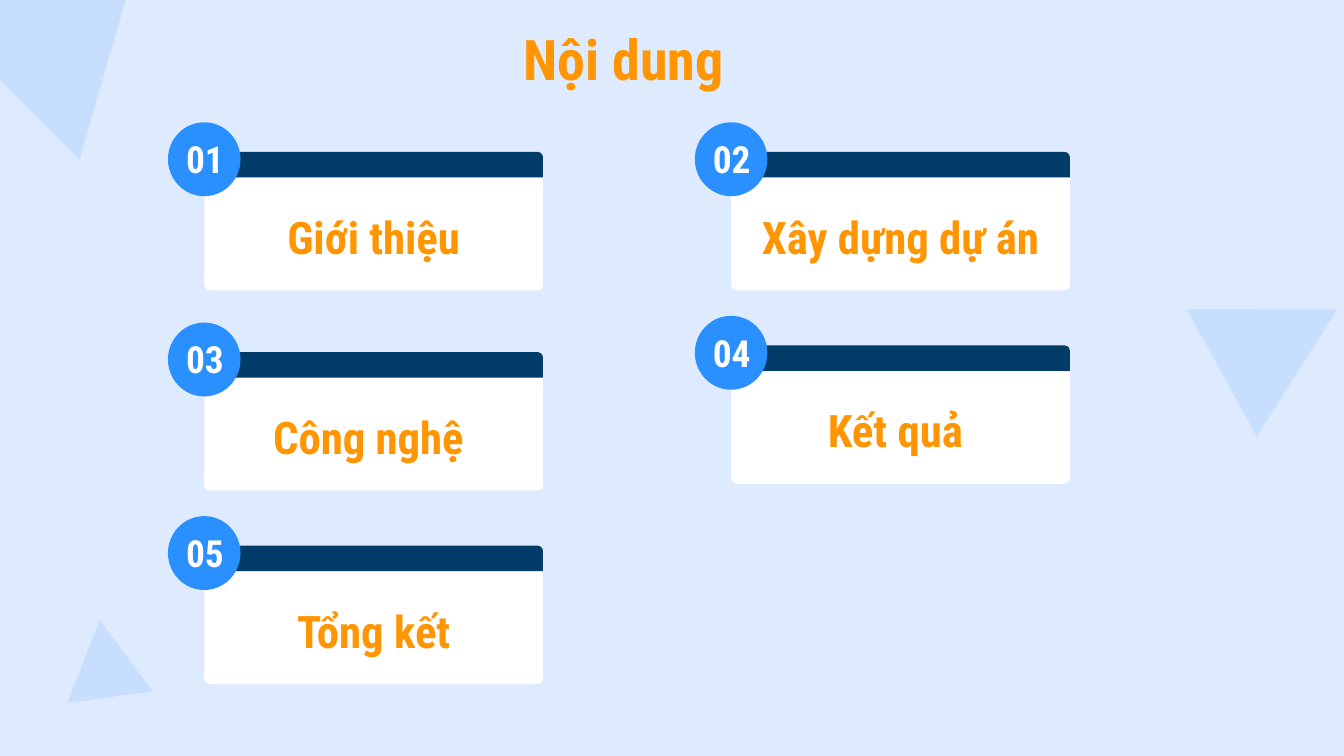
from pptx import Presentation
from pptx.dml.color import RGBColor
from pptx.enum.shapes import MSO_SHAPE
from pptx.enum.text import MSO_ANCHOR, PP_ALIGN
from pptx.util import Inches, Pt

TRIANGLE = MSO_SHAPE.ISOSCELES_TRIANGLE
ROUNDED = MSO_SHAPE.ROUND_2_SAME_RECTANGLE
OVAL = MSO_SHAPE.OVAL
TOP, MIDDLE = MSO_ANCHOR.TOP, MSO_ANCHOR.MIDDLE

FONT = "Roboto Condensed"
ORANGE, WHITE, NAVY, BLUE = "FF9500", "FFFFFF", "003C67", "2A90FF"
SKY, PALE = "DEEBFF", "C8DEFF"

deck = Presentation()
deck.slide_width = Inches(10)
deck.slide_height = deck.slide_width * 9 // 16
page = deck.slides.add_slide(deck.slide_layouts[6])
page.background.fill.solid()
page.background.fill.fore_color.rgb = RGBColor.from_string(SKY)


def add_filled(kind, left, top, width, height, color):
    shape = page.shapes.add_shape(
        kind, Inches(left), Inches(top), Inches(width), Inches(height))
    shape.shadow.inherit = False
    shape.fill.solid()
    shape.fill.fore_color.rgb = RGBColor.from_string(color)
    shape.line.fill.background()
    return shape


def add_label(text, left, top, width, height, size, color, anchor=TOP):
    """Add a centred bold text box and return its paragraph."""
    box = page.shapes.add_textbox(
        Inches(left), Inches(top), Inches(width), Inches(height))
    frame = box.text_frame
    frame.word_wrap = True
    frame.vertical_anchor = anchor
    frame.margin_left = frame.margin_right = Inches(0.1)
    frame.margin_top = frame.margin_bottom = Inches(0.1)
    para = frame.paragraphs[0]
    para.text = text
    para.alignment = PP_ALIGN.CENTER
    para.font.name = FONT
    para.font.size = Pt(size)
    para.font.bold = True
    para.font.color.rgb = RGBColor.from_string(color)
    return para


# Background triangles
for left, top, width, height, angle in [
    (8.98, 2.05, 1.08, 0.98, 61.2),
    (-0.49, -1.1, 2.03, 1.84, 45),
    (0.46, 4.61, 0.64, 0.58, 352.2),
]:
    add_filled(TRIANGLE, left, top, width, height, PALE).rotation = angle

add_label("Nội dung", 0.42, 0.08, 8.44, 0.7, 30, ORANGE)

# Agenda cards: column edge and top of each header band
LEFT_COLUMN, RIGHT_COLUMN = 1.52, 5.44
CARD_WIDTH, BAND_HEIGHT, BODY_HEIGHT = 2.52, 0.19, 0.84
CORNER = 0.04
cards = [
    ("Giới thiệu", LEFT_COLUMN, 1.13),
    ("Xây dựng dự án", RIGHT_COLUMN, 1.13),
    ("Công nghệ ", LEFT_COLUMN, 2.62),
    ("Kết quả ", RIGHT_COLUMN, 2.57),
    ("Tổng kết", LEFT_COLUMN, 4.06),
]
for number, (topic, left, top) in enumerate(cards, start=1):
    body_top = top + BAND_HEIGHT
    body = add_filled(ROUNDED, left, body_top, CARD_WIDTH, BODY_HEIGHT, WHITE)
    body.adjustments[0] = 0
    body.adjustments[1] = CORNER / BODY_HEIGHT
    band = add_filled(ROUNDED, left, top, CARD_WIDTH, BAND_HEIGHT, NAVY)
    band.adjustments[0] = CORNER / BAND_HEIGHT
    add_filled(OVAL, left - 0.27, top - 0.22, 0.54, 0.55, BLUE)
    para = add_label(topic, left, body_top + 0.08, CARD_WIDTH, 0.77, 24, ORANGE)
    para.line_spacing = 1.15
    para.space_after = Pt(12)
    add_label(f"{number:02}", left - 0.33, top - 0.28, 0.67, 0.66, 20, WHITE, MIDDLE)

deck.save("out.pptx")
